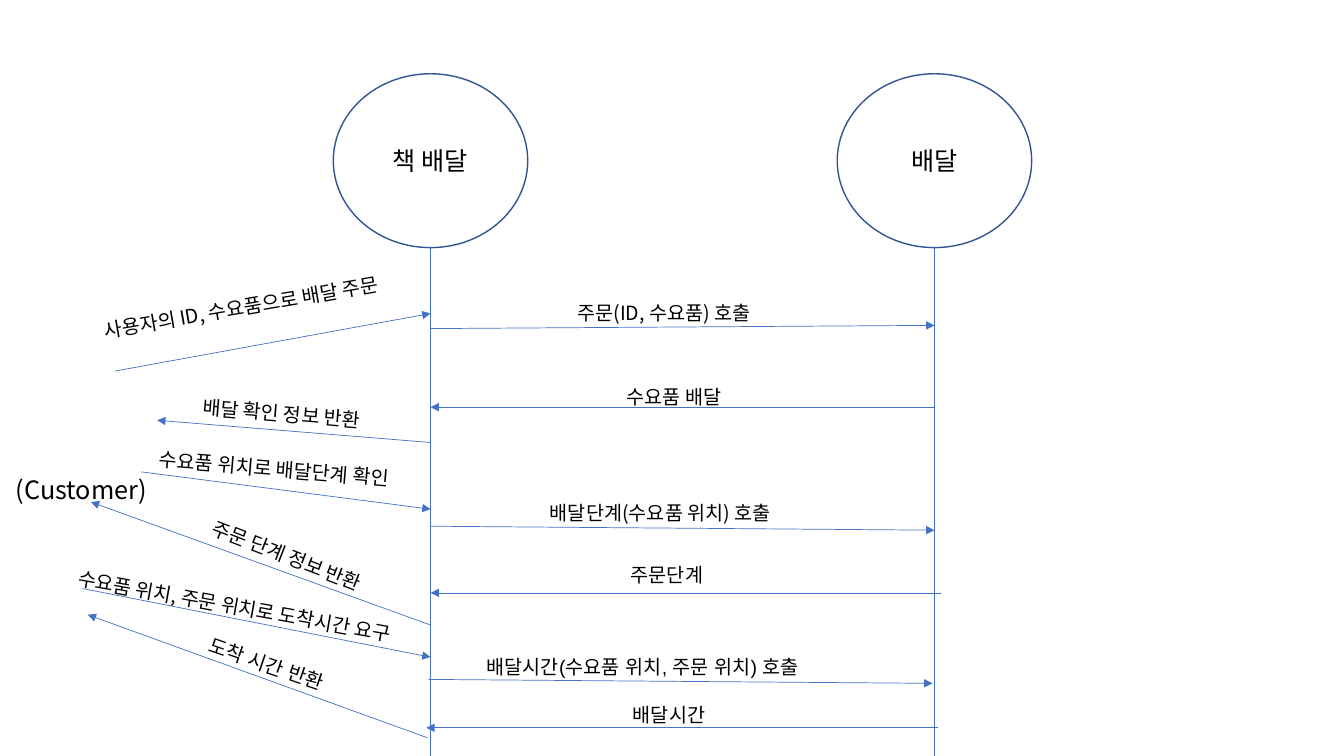
from lxml import etree
from pptx import Presentation
from pptx.dml.color import RGBColor
from pptx.enum import shapes as kinds, text as styles
from pptx.oxml import ns
from pptx.util import Cm, Pt

NOTO = "Noto Sans CJK KR"
BOOK, SHIP = 10.85, 23.55
FOOT = 6.24
END = 19.05

CALLS = [
    ((2.9, 9.35), (BOOK, 7.9), "사용자의 ID, 수요품으로 배달 주문", (2.31, 7.11, 10.01), -9.8, NOTO),
    ((BOOK, 8.28), (SHIP, 8.2), "주문(ID, 수요품) 호출", (14.3, 7.47, 6.15), 0, NOTO),
    ((SHIP, 10.26), (BOOK, 10.26), "수요품 배달", (15.54, 9.58, 6.15), 0, NOTO),
    ((BOOK, 11.15), (3.96, 10.59), "배달 확인 정보 반환", (4.85, 10.06, 6.15), 4.7, NOTO),
    ((3.56, 11.89), (BOOK, 12.83), "수요품 위치로 배달단계 확인", (3.76, 11.43, 7.37), 4.7, NOTO),
    ((BOOK, 13.26), (SHIP, 13.36), "배달단계(수요품 위치) 호출", (13.61, 12.5, 7.37), 0, NOTO),
    ((23.72, 14.94), (BOOK, 14.94), "주문단계", (15.65, 14.07, 7.37), 0, NOTO),
    ((BOOK, 15.75), (2.29, 12.65), "주문 단계 정보 반환", (4.7, 15.11, 12.9), 21.3, NOTO),
    ((2.08, 14.83), (BOOK, 16.56), "수요품 위치, 주문 위치로 도착시간 요구", (1.63, 15.24, 12.9), 10.2, NOTO),
    ((10.8, 17.12), (23.5, 17.22), "배달시간(수요품 위치, 주문 위치) 호출", (12.01, 16.38, 12.7), 0, "Arial"),
    ((23.65, 18.34), (10.74, 18.34), "배달시간", (15.7, 17.6, 12.7), 0, "Arial"),
    ((10.77, 18.59), (2.21, 15.49), "도착 시간 반환", (4.7, 17.81, 12.7), 19.1, "Arial"),
]


def paint(code):
    """Turn a hex string into a colour."""
    return RGBColor.from_string(code)


def write(frame, words, size=14, font=NOTO, color="000000", align=None):
    """Put one formatted run of text in a frame."""
    para = frame.paragraphs[0]
    if align is not None:
        para.alignment = align
    run = para.add_run()
    run.text = words
    run.font.size = Pt(size)
    run.font.name = font
    run.font.color.rgb = paint(color)
    east = etree.SubElement(run.font._element, ns.qn("a:ea"))
    east.set("typeface", font)


def label(slide, words, spot, turn=0, tall=0.86, **form):
    """Add a text box, turned by some degrees."""
    left, top, wide = spot
    box = slide.shapes.add_textbox(Cm(left), Cm(top), Cm(wide), Cm(tall))
    box.rotation = turn
    box.text_frame.word_wrap = True
    box.text_frame.auto_size = styles.MSO_AUTO_SIZE.SHAPE_TO_FIT_TEXT
    write(box.text_frame, words, **form)


def link(slide, start, stop, arrow=True):
    """Draw a thin line, with an arrowhead if asked."""
    ends = [Cm(n) for n in (*start, *stop)]
    line = slide.shapes.add_connector(kinds.MSO_CONNECTOR.STRAIGHT, *ends)
    line.line.color.rgb = paint("4472C4")
    line.line.width = Pt(0.5)
    if arrow:
        tail = etree.SubElement(line.line._get_or_add_ln(), ns.qn("a:tailEnd"))
        tail.set("type", "triangle")
    etree.SubElement(line._element.spPr, ns.qn("a:effectLst"))


def actor(slide, words, mid):
    """Draw a named circle with its lifeline."""
    wide, tall = 4.9, 4.38
    oval = slide.shapes.add_shape(
        kinds.MSO_SHAPE.OVAL, Cm(mid - wide / 2), Cm(FOOT - tall), Cm(wide), Cm(tall))
    oval.shadow.inherit = False
    oval.fill.solid()
    oval.fill.fore_color.rgb = paint("FFFFFF")
    oval.line.color.rgb = paint("325491")
    oval.line.width = Pt(1)
    oval.text_frame.vertical_anchor = styles.MSO_ANCHOR.MIDDLE
    write(oval.text_frame, words, size=18, align=styles.PP_ALIGN.CENTER)
    link(slide, (mid, FOOT), (mid, END), arrow=False)


def main():
    """Build the sequence diagram."""
    deck = Presentation()
    deck.slide_width, deck.slide_height = Cm(33.87), Cm(END)
    slide = deck.slides.add_slide(deck.slide_layouts[6])
    actor(slide, "책 배달", BOOK)
    actor(slide, "배달", SHIP)
    for start, stop, words, spot, turn, font in CALLS:
        link(slide, start, stop)
        label(slide, words, spot, turn, font=font)
    label(slide, "(Customer)", (0.15, 11.84, 4.7), tall=1.02, size=18)
    deck.save("out.pptx")


if __name__ == "__main__":
    main()
